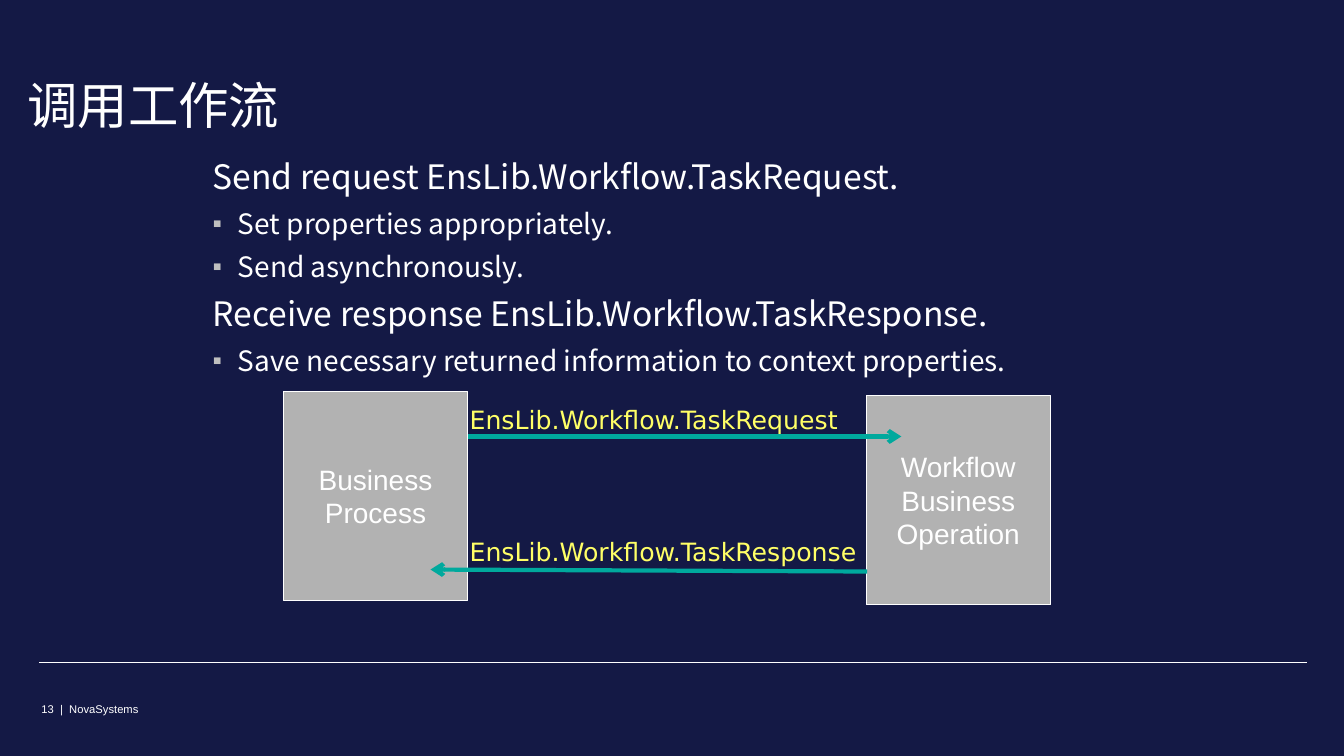
"""Build the workflow call slide."""
from lxml.etree import SubElement
from pptx import Presentation
from pptx.dml.color import RGBColor
from pptx.enum.shapes import MSO_CONNECTOR as CONN, MSO_SHAPE as SHAPE
from pptx.enum.text import MSO_ANCHOR as ANCHOR, PP_ALIGN as ALIGN
from pptx.oxml.ns import qn
from pptx.util import Inches, Pt

NAVY, WHITE, GREY, TEAL, YELLOW = "141945", "FFFFFF", "B2B2B2", "00A99D", "FFFF66"
BULLET = "BFBFBF"
SANS, CJK, LABEL = "Arial", "Noto Sans CJK SC", "DejaVu Sans"

TITLE = "调用工作流"
FOOTER = "13  |  NovaSystems"
BODY = [
    (0, "Send request EnsLib.Workflow.TaskRequest."),
    (1, "Set properties appropriately."),
    (1, "Send asynchronously."),
    (0, "Receive response EnsLib.Workflow.TaskResponse."),
    (1, "Save necessary returned information to context properties."),
]
BOXES = [
    (2.81, 3.88, ["Business", "Process"]),
    (8.59, 3.92, ["Workflow", "Business", "Operation"]),
]
BOX_W, BOX_H = 1.83, 2.08
MESSAGES = [
    ("EnsLib.Workflow.TaskRequest", 3.96, (4.64, 4.33), (8.94, 4.33)),
    ("EnsLib.Workflow.TaskResponse", 5.27, (8.6, 5.67), (4.27, 5.65)),
]


def rgb(color):
    return RGBColor.from_string(color)


def set_frame(tf, margins=(0.05, 0.05, 0.05, 0.05), anchor=ANCHOR.TOP, wrap=True):
    tf.margin_left, tf.margin_top, tf.margin_right, tf.margin_bottom = map(Inches, margins)
    tf.vertical_anchor, tf.word_wrap = anchor, wrap


def write(p, text, size, font=SANS, color=WHITE, align=ALIGN.LEFT, before=0, after=0, spacing=1.0):
    p.alignment, p.line_spacing = align, spacing
    p.space_before, p.space_after = Pt(before), Pt(after)
    r = p.add_run()
    r.text = text
    r.font.size, r.font.name = Pt(size), font
    r.font.color.rgb = rgb(color)
    SubElement(r.font._element, qn("a:ea"), typeface=font)


def add_bullet(p):
    pPr = p._p.get_or_add_pPr()
    pPr.set("marL", str(Inches(0.25)))
    pPr.set("indent", str(Inches(-0.25)))
    SubElement(SubElement(pPr, qn("a:buClr")), qn("a:srgbClr"), val=BULLET)
    SubElement(pPr, qn("a:buSzPct"), val="95000")
    SubElement(pPr, qn("a:buFont"), typeface=SANS)
    SubElement(pPr, qn("a:buChar"), char="▪")


def paragraphs(tf, items):
    for i, item in enumerate(items):
        yield (tf.add_paragraph() if i else tf.paragraphs[0]), item


def add_text(s, x, y, w, h, **frame):
    tf = s.shapes.add_textbox(*map(Inches, (x, y, w, h))).text_frame
    set_frame(tf, **frame)
    return tf


def add_line(s, start, end, color, width, arrow=False):
    line = s.shapes.add_connector(CONN.STRAIGHT, *map(Inches, start + end))
    line.line.color.rgb, line.line.width = rgb(color), Pt(width)
    if arrow:
        SubElement(line.line._get_or_add_ln(), qn("a:tailEnd"), type="arrow")
    SubElement(line._element.spPr, qn("a:effectLst"))


def add_box(s, x, y, lines):
    sp = s.shapes.add_shape(SHAPE.RECTANGLE, *map(Inches, (x, y, BOX_W, BOX_H)))
    sp.shadow.inherit = False
    sp.fill.solid()
    sp.fill.fore_color.rgb = rgb(GREY)
    sp.line.color.rgb, sp.line.width = rgb(WHITE), Pt(0.75)
    set_frame(sp.text_frame, anchor=ANCHOR.MIDDLE, wrap=False)
    for p, text in paragraphs(sp.text_frame, lines):
        write(p, text, 20, align=ALIGN.CENTER)


def main():
    prs = Presentation()
    prs.slide_width, prs.slide_height = Inches(13.33), Inches(7.5)
    s = prs.slides.add_slide(prs.slide_layouts[5])
    s.background.fill.solid()
    s.background.fill.fore_color.rgb = rgb(NAVY)

    title = s.shapes.title
    title.left, title.top, title.width, title.height = map(Inches, (0.22, 0.17, 12.89, 1.17))
    set_frame(title.text_frame, (0.05, 0.05, 0.05, 0), ANCHOR.BOTTOM)
    write(title.text_frame.paragraphs[0], TITLE, 36, CJK, spacing=0.9)

    add_line(s, (0.39, 6.57), (12.96, 6.57), WHITE, 0.75)
    footer = add_text(s, 0.39, 6.95, 4.7, 0.18, margins=(0.02,) * 4)
    write(footer.paragraphs[0], FOOTER, 8, before=3, after=4)

    body = add_text(s, 2.06, 1.5, 9.36, 2.5)
    for p, (level, text) in paragraphs(body, BODY):
        write(p, text, 20 if level else 24, CJK, before=3, after=4)
        if level:
            p.level = level
            add_bullet(p)

    for box in BOXES:
        add_box(s, *box)
    for text, top, start, end in MESSAGES:
        label = add_text(s, 4.56, top, 4.17, 0.4, margins=(0.1, 0.05, 0.1, 0.05))
        write(label.paragraphs[0], text, 18, LABEL, YELLOW)
        add_line(s, start, end, TEAL, 3, arrow=True)

    prs.save("out.pptx")


if __name__ == "__main__":
    main()
